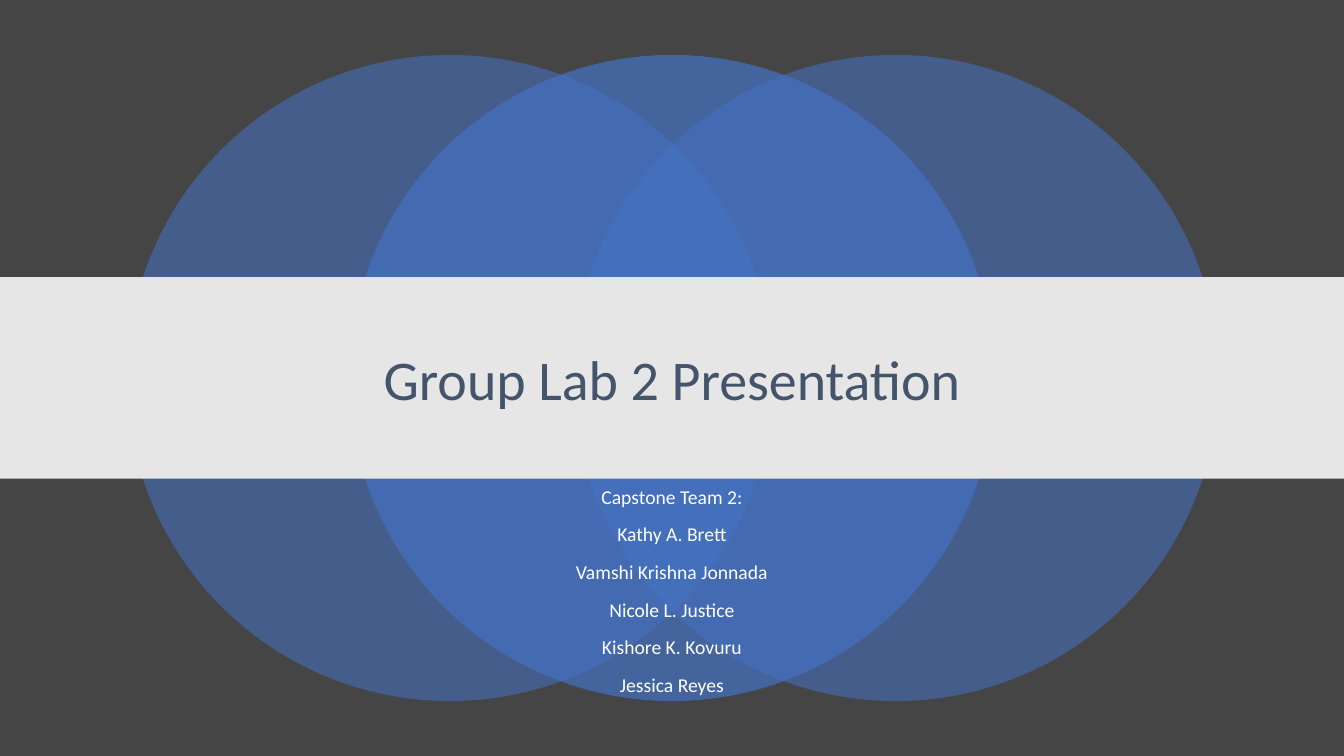
"""Build the title slide of the Group Lab 2 presentation."""
from lxml import etree
from pptx import Presentation
from pptx.dml.color import RGBColor
from pptx.enum.shapes import MSO_SHAPE
from pptx.enum.text import MSO_ANCHOR, PP_ALIGN
from pptx.oxml.ns import qn
from pptx.util import Pt

OVAL = MSO_SHAPE.OVAL
RECTANGLE = MSO_SHAPE.RECTANGLE
MIDDLE = MSO_ANCHOR.MIDDLE
TOP = MSO_ANCHOR.TOP
CENTER = PP_ALIGN.CENTER
SLIDE_WIDTH, SLIDE_HEIGHT = 960, 540
CIRCLE_SIZE = 461.5


def color(hex_string):
    return RGBColor.from_string(hex_string)


def add_filled_shape(kind, left, top, width, height, fill):
    shape = slide.shapes.add_shape(kind, Pt(left), Pt(top), Pt(width), Pt(height))
    shape.shadow.inherit = False
    shape.fill.solid()
    shape.fill.fore_color.rgb = color(fill)
    shape.line.fill.background()
    return shape


presentation = Presentation()
presentation.slide_width = Pt(SLIDE_WIDTH)
presentation.slide_height = Pt(SLIDE_HEIGHT)
slide = presentation.slides.add_slide(presentation.slide_layouts[6])
slide.background.fill.solid()
slide.background.fill.fore_color.rgb = color("454545")

for left, opacity in [(90.5, 55), (409, 55), (249.25, 70)]:
    circle = add_filled_shape(OVAL, left, 39.25, CIRCLE_SIZE, CIRCLE_SIZE, "4472C4")
    fill_color = circle.fill._xPr.find(qn("a:solidFill"))[0]
    etree.SubElement(fill_color, qn("a:alpha")).set("val", str(opacity * 1000))

add_filled_shape(RECTANGLE, 0, 198, SLIDE_WIDTH, 144, "E7E6E6")

team = [
    "Capstone Team 2:",
    "Kathy A. Brett",
    "Vamshi Krishna Jonnada",
    "Nicole L. Justice",
    "Kishore K. Kovuru",
    "Jessica Reyes",
]
text_blocks = [
    (["Group Lab 2 Presentation"], 219, 108.5, MIDDLE, 40, "44546A", 0.9, 0),
    (team, 342.75, 173.5, TOP, 14, "FFFFFF", 1.0, 10),
]
for lines, top, height, anchor, size, text_color, line_spacing, space_before in text_blocks:
    text_box = slide.shapes.add_textbox(Pt(120), Pt(top), Pt(720), Pt(height))
    text_frame = text_box.text_frame
    text_frame.word_wrap = True
    text_frame.vertical_anchor = anchor
    text_frame.text = "\n".join(lines)
    for paragraph in text_frame.paragraphs:
        paragraph.alignment = CENTER
        paragraph.line_spacing = line_spacing
        paragraph.space_before = Pt(space_before)
        font = paragraph.runs[0].font
        font.name = "Calibri"
        font.size = Pt(size)
        font.color.rgb = color(text_color)

presentation.save("out.pptx")
